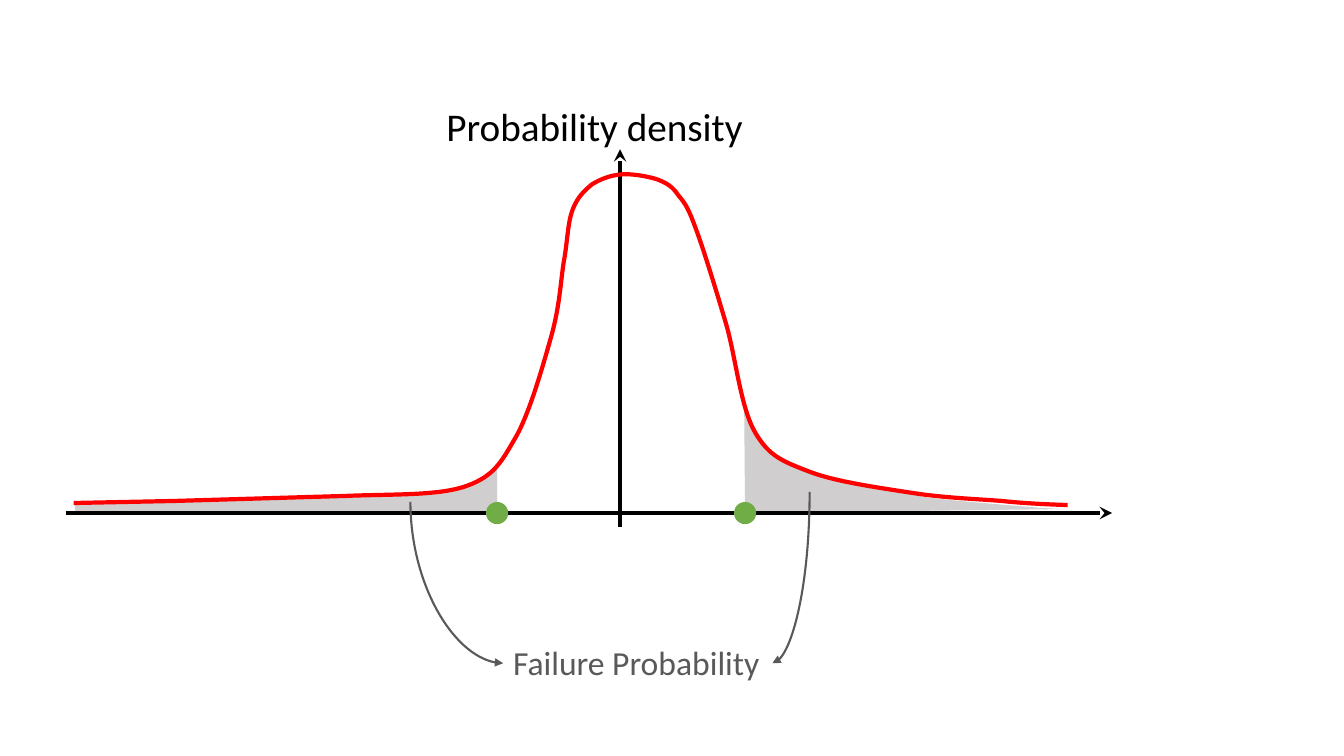
from dataclasses import dataclass

from lxml.etree import SubElement
from pptx import Presentation
from pptx.dml.color import RGBColor as RGB
from pptx.enum.shapes import MSO_CONNECTOR as Link, MSO_SHAPE as Form
from pptx.enum.text import MSO_AUTO_SIZE as Fit
from pptx.oxml.ns import qn
from pptx.util import Inches, Pt


@dataclass(frozen=True)
class Theme:
    font: str = "Calibri"
    ink: str = "000000"
    note: str = "595959"
    shade: str = "D0CECE"
    curve: str = "FF0000"
    limit: str = "70AD47"
    big: int = 28
    small: int = 24
    thick: float = 3
    thin: float = 1.5


class Board:
    def __init__(self, slide, theme):
        self.slide, self.theme = slide, theme

    def text(self, box, words, size, color):
        shape = self.slide.shapes.add_textbox(*map(Inches, box))
        frame = shape.text_frame
        frame.word_wrap = False
        frame.auto_size = Fit.SHAPE_TO_FIT_TEXT
        run = frame.paragraphs[0].add_run()
        run.text = words
        run.font.name, run.font.size = self.theme.font, Pt(size)
        run.font.color.rgb = RGB.from_string(color)

    def stroke(self, line, color, width):
        line.color.rgb = RGB.from_string(color)
        line.width = Pt(width)

    def link(self, kind, ends, color, width, head):
        line = self.slide.shapes.add_connector(kind, *map(Inches, ends))
        self.stroke(line.line, color, width)
        props = line.element.spPr
        SubElement(props.find(qn("a:ln")), qn("a:tailEnd"), type=head)
        SubElement(props, qn("a:effectLst"))
        return props

    def axis(self, *ends):
        self.link(Link.STRAIGHT, ends, self.theme.ink, self.theme.thick, "stealth")

    def bend(self, x1, y1, x2, y2):
        """Draw a curved arrow that leaves downwards and arrives sideways."""
        midx, midy = (x1 + x2) / 2, (y1 + y2) / 2
        dx, dy = abs(x2 - x1) / 2, abs(y2 - y1) / 2
        left, right = midx - dy, midx + dy
        east = x2 > x1
        if east:
            left, right = right, left
        props = self.link(Link.CURVE, (left, midy - dx, right, midy + dx),
                          self.theme.note, self.theme.thin, "triangle")
        props.find(qn("a:xfrm")).set("rot", str((270 if east else 90) * 60000))
        props.find(qn("a:prstGeom")).set("prst", "curvedConnector2")

    def outline(self, points, close):
        start, *rest = [(Inches(x), Inches(y)) for x, y in points]
        pen = self.slide.shapes.build_freeform(*start)
        pen.add_line_segments(rest, close=close)
        shape = pen.convert_to_shape()
        shape.shadow.inherit = False
        return shape

    def area(self, points):
        shape = self.outline(points, True)
        shape.fill.solid()
        shape.fill.fore_color.rgb = RGB.from_string(self.theme.shade)
        shape.line.fill.background()

    def curve(self, lead, bends):
        """Draw straight lead-in points, then Bezier segments of three points."""
        shape = self.outline(lead + bends, False)
        shape.fill.background()
        self.stroke(shape.line, self.theme.curve, self.theme.thick)
        steps = list(shape.element.spPr.iter(qn("a:lnTo")))[len(lead) - 1:]
        for i in range(0, len(steps), 3):
            track = steps[i].getparent()
            cubic = SubElement(track, qn("a:cubicBezTo"))
            for step in steps[i:i + 3]:
                cubic.append(step[0])
                track.remove(step)

    def dots(self, spots, size):
        group = self.slide.shapes.add_group_shape()
        for x, y in spots:
            box = (x - size / 2, y - size / 2, size, size)
            dot = group.shapes.add_shape(Form.OVAL, *map(Inches, box))
            dot.shadow.inherit = False
            dot.fill.solid()
            dot.fill.fore_color.rgb = RGB.from_string(self.theme.limit)
            dot.line.fill.background()


BASE = 5.09
LEFT_TAIL = [
    (4.93, BASE), (4.93, 4.64), (4.85, 4.72), (4.74, 4.79), (4.56, 4.85),
    (4.38, 4.89), (4.09, 4.91), (3.66, 4.93), (2.92, 4.95), (2.08, 4.97),
    (1.32, 4.98), (0.74, 5), (0.75, 5.1), (1.17, BASE),
]
RIGHT_TAIL = [
    (7.39, BASE), (7.38, 3.94), (7.43, 4.11), (7.49, 4.26), (7.55, 4.35),
    (7.65, 4.48), (7.82, 4.57), (8.11, 4.69), (8.42, 4.79), (8.81, 4.86),
    (9.23, 4.94), (9.52, 4.97), (9.98, 5.01), (10.34, 5.04), (10.56, 5.05),
]
LEAD = [(0.73, 4.99), (1.72, 4.97), (3.42, 4.92)]
BELL = [
    (3.9, 4.9), (4.35, 4.92), (4.63, 4.82),
    (4.91, 4.72), (4.98, 4.57), (5.12, 4.33),
    (5.26, 4.08), (5.39, 3.61), (5.47, 3.33),
    (5.55, 3.04), (5.56, 2.81), (5.59, 2.61),
    (5.63, 2.4), (5.63, 2.21), (5.68, 2.08),
    (5.73, 1.95), (5.8, 1.89), (5.87, 1.83),
    (5.95, 1.78), (6.05, 1.74), (6.16, 1.73),
    (6.26, 1.72), (6.43, 1.75), (6.52, 1.78),
    (6.62, 1.82), (6.67, 1.85), (6.73, 1.94),
    (6.8, 2.02), (6.83, 2.07), (6.91, 2.29),
    (6.99, 2.51), (7.11, 2.9), (7.21, 3.24),
    (7.3, 3.57), (7.35, 4.05), (7.49, 4.29),
    (7.63, 4.53), (7.77, 4.58), (8.03, 4.68),
    (8.29, 4.78), (8.73, 4.84), (9.05, 4.89),
    (9.37, 4.94), (9.69, 4.95), (9.94, 4.97),
    (10.2, 5), (10.59, 5.01), (10.59, 5.01),
]


def main():
    deck = Presentation()
    deck.slide_width, deck.slide_height = Inches(13.33), Inches(7.5)
    theme = Theme()
    board = Board(deck.slides.add_slide(deck.slide_layouts[6]), theme)

    for tail in (LEFT_TAIL, RIGHT_TAIL):
        board.area(tail)
    board.axis(0.65, BASE, 11.03, BASE)
    board.axis(6.15, 5.23, 6.15, 1.48)
    board.text((4.33, 0.97, 3.17, 0.57), "Probability density", theme.big, theme.ink)
    board.curve(LEAD, BELL)
    board.dots([(4.93, BASE), (7.39, BASE)], 0.22)
    board.text((4.99, 6.32, 2.67, 0.5), "Failure Probability", theme.small, theme.note)
    board.bend(4.07, 4.98, 4.99, 6.58)
    board.bend(8.03, 4.88, 7.66, 6.58)
    deck.save("out.pptx")


if __name__ == "__main__":
    main()
